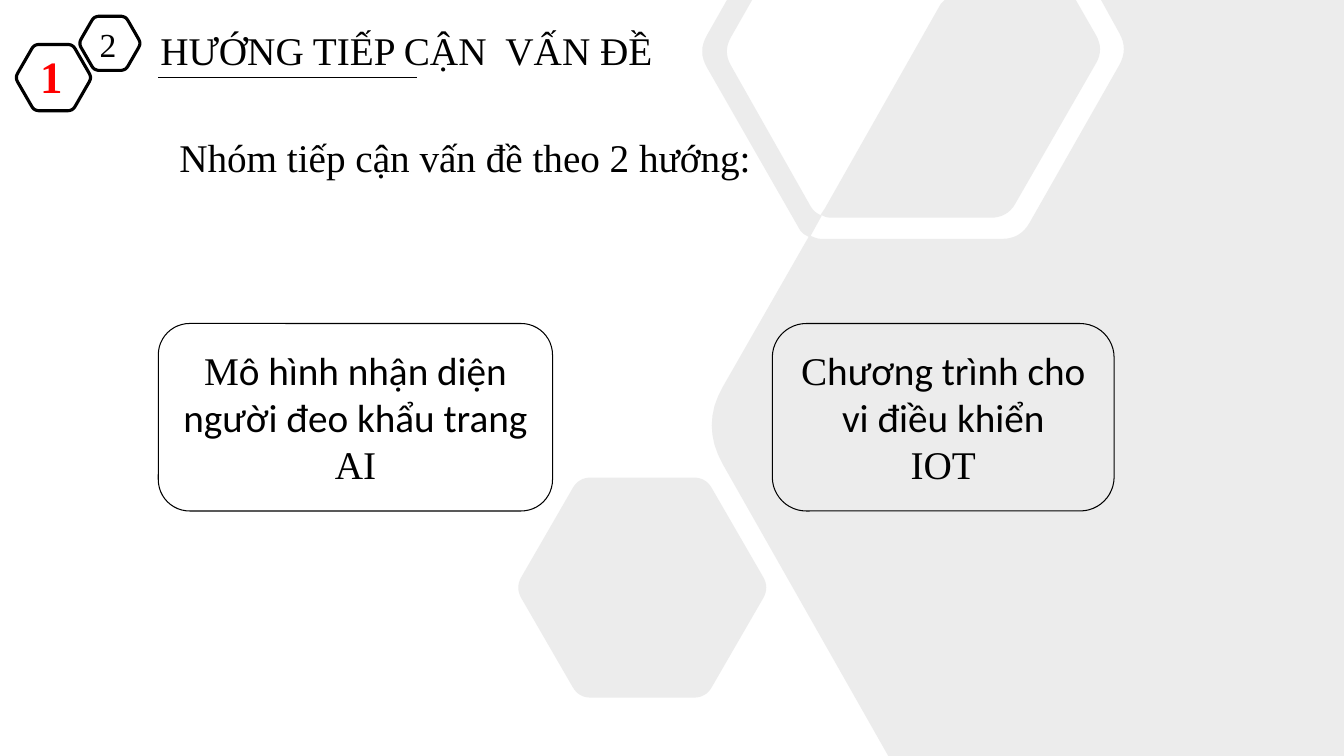
from math import cos, dist, pi, sin
from lxml import etree
from pptx import Presentation
from pptx.dml.color import RGBColor
from pptx.enum.shapes import MSO_CONNECTOR, MSO_SHAPE
from pptx.enum.text import MSO_ANCHOR, MSO_AUTO_SIZE, PP_ALIGN
from pptx.oxml.ns import qn
from pptx.util import Inches, Pt

LINE, ROUND = MSO_CONNECTOR.STRAIGHT, MSO_SHAPE.ROUNDED_RECTANGLE
TOP, MIDDLE = MSO_ANCHOR.TOP, MSO_ANCHOR.MIDDLE
LEFT, CENTER = PP_ALIGN.LEFT, PP_ALIGN.CENTER
FIXED = MSO_AUTO_SIZE.NONE

# Content
TITLE = "HƯỚNG TIẾP CẬN  VẤN ĐỀ"
LEAD = "Nhóm tiếp cận vấn đề theo 2 hướng:"
SERIF, SANS = "Times New Roman", "Calibri"
COLORS = {"ink": "000000", "mark": "FF0000", "gray": "808080"}
W, H = 13.33, 7.5

# Cards: left, width, corner, paragraphs of (text, font) runs
CARDS = [
    (1.57, 3.91, 0.167, [[("M", SERIF), ("ô hình nhận diện người đeo khẩu trang", SANS)],
                         [("AI", SERIF)]]),
    (7.66, 3.39, 0.181, [[("C", SERIF), ("hương trình cho vi điều khiển", SANS)],
                         [("IOT", SERIF)]]),
]
CARD_TOP, CARD_H = 3.21, 1.86

# Badges: centre x, centre y, radius, text box, digit and its format
BADGES = [
    (0.53, 0.77, 0.38, (0.3, 0.43, 0.47, 0.64), "1",
     {"size": 32, "color": "mark", "bold": True}),
    (1.09, 0.43, 0.31, (0.89, 0.19, 0.38, 0.5), "2", {"size": 24}),
]

# Backdrop corners: x, y, length cut off for rounding
PANE = [(9.37, 0, 0), (10.67, 0, 0), (10.95, 0.49, 0.16), (9.99, 2.16, 0.16),
        (8.2, 2.16, 0.04), (8.14, 2.13, 0), (8.18, 2.07, 0), (9.33, 0.04, 0)]
FIELD = [(7.21, 0, 0), (7.46, 0, 0), (7.17, 0.51, 0.16), (8.07, 2.1, 0.06),
         (8.15, 2.14, 0), (8.04, 2.34, 0), (8.11, 2.37, 0.04),
         (10.12, 2.37, 0.18), (11.19, 0.49, 0.18), (10.92, 0, 0), (W, 0, 0),
         (W, H, 0), (8.81, H, 0), (6.95, 4.22, 0.44), (8.02, 2.35, 0),
         (7.95, 2.31, 0.04), (6.92, 0.51, 0.18)]


def hexagon(x, y, radius, cut):
    return [(x + radius * cos(k * pi / 3), y + radius * sin(k * pi / 3), cut)
            for k in range(6)]


def smooth(corners, steps=8):
    """Points of an outline whose corners are rounded by a quadratic curve."""
    points = []
    for i, (x, y, cut) in enumerate(corners):
        if not cut:
            points.append((x, y))
            continue
        ends = []
        for nx, ny, _ in (corners[i - 1], corners[(i + 1) % len(corners)]):
            share = cut / dist((x, y), (nx, ny))
            ends.append((x + share * (nx - x), y + share * (ny - y)))
        (ax, ay), (bx, by) = ends
        for k in range(steps + 1):
            t = k / steps
            p, q, r = (1 - t) ** 2, 2 * t * (1 - t), t * t
            points.append((p * ax + q * x + r * bx, p * ay + q * y + r * by))
    return points


def outline(*shapes):
    paths = [[(x * 1000, y * 1000) for x, y in smooth(s)] for s in shapes]
    pen = slide.shapes.build_freeform(*paths[0][0], scale=Inches(1) / 1000)
    for i, path in enumerate(paths):
        if i:
            pen.move_to(*path[0])
        pen.add_line_segments(path[1:], close=True)
    form = pen.convert_to_shape()
    form.shadow.inherit = False
    return form


def ink(color):
    return RGBColor.from_string(COLORS[color])


def edge(shape, width):
    shape.line.color.rgb = ink("ink")
    shape.line.width = Pt(width)


def write(shape, text, size=28, color="ink", bold=False, align=LEFT, anchor=TOP):
    """Text is one string, or paragraphs made of (text, font) runs."""
    frame = shape.text_frame
    frame.word_wrap, frame.auto_size = True, FIXED
    frame.vertical_anchor = anchor
    paras = [[(text, SERIF)]] if isinstance(text, str) else text
    for i, runs in enumerate(paras):
        para = frame.add_paragraph() if i else frame.paragraphs[0]
        para.alignment = align
        for words, face in runs:
            run = para.add_run()
            run.text = words
            run.font.name, run.font.size = face, Pt(size)
            run.font.bold, run.font.color.rgb = bold, ink(color)


def box(*place):
    return slide.shapes.add_textbox(*map(Inches, place))


deck = Presentation()
deck.slide_width, deck.slide_height = Inches(W), Inches(H)
slide = deck.slides.add_slide(deck.slide_layouts[5])

# Backdrop
back = outline(hexagon(6.37, 5.83, 1.26, 0.12), PANE, FIELD)
back.fill.solid()
back.fill.fore_color.rgb = ink("gray")
back.line.fill.background()
tint = back.fill._xPr.find(".//" + qn("a:srgbClr"))
etree.SubElement(tint, qn("a:alpha"), val="15000")

# Badges
for x, y, radius, place, digit, style in BADGES:
    badge = outline(hexagon(x, y, radius, 0.05))
    badge.fill.background()
    edge(badge, 2.25)
for *_, place, digit, style in BADGES:
    write(box(*place), digit, **style)

# Title, rule and lead
title = slide.shapes.title
title.left, title.top, title.width, title.height = map(Inches, (1.49, 0.21, 6.86, 0.57))
write(title, TITLE)
rule = slide.shapes.add_connector(LINE, *map(Inches, (1.57, 0.77, 4.14, 0.77)))
edge(rule, 0.5)
etree.SubElement(rule._element.spPr, qn("a:effectLst"))
write(box(1.68, 1.27, 6.18, 0.57), LEAD)

# Cards
for left, width, corner, text in CARDS:
    card = slide.shapes.add_shape(ROUND, *map(Inches, (left, CARD_TOP, width, CARD_H)))
    card.shadow.inherit = False
    card.adjustments[0] = corner
    card.fill.background()
    edge(card, 0.75)
    write(card, text, align=CENTER, anchor=MIDDLE)

deck.save("out.pptx")
